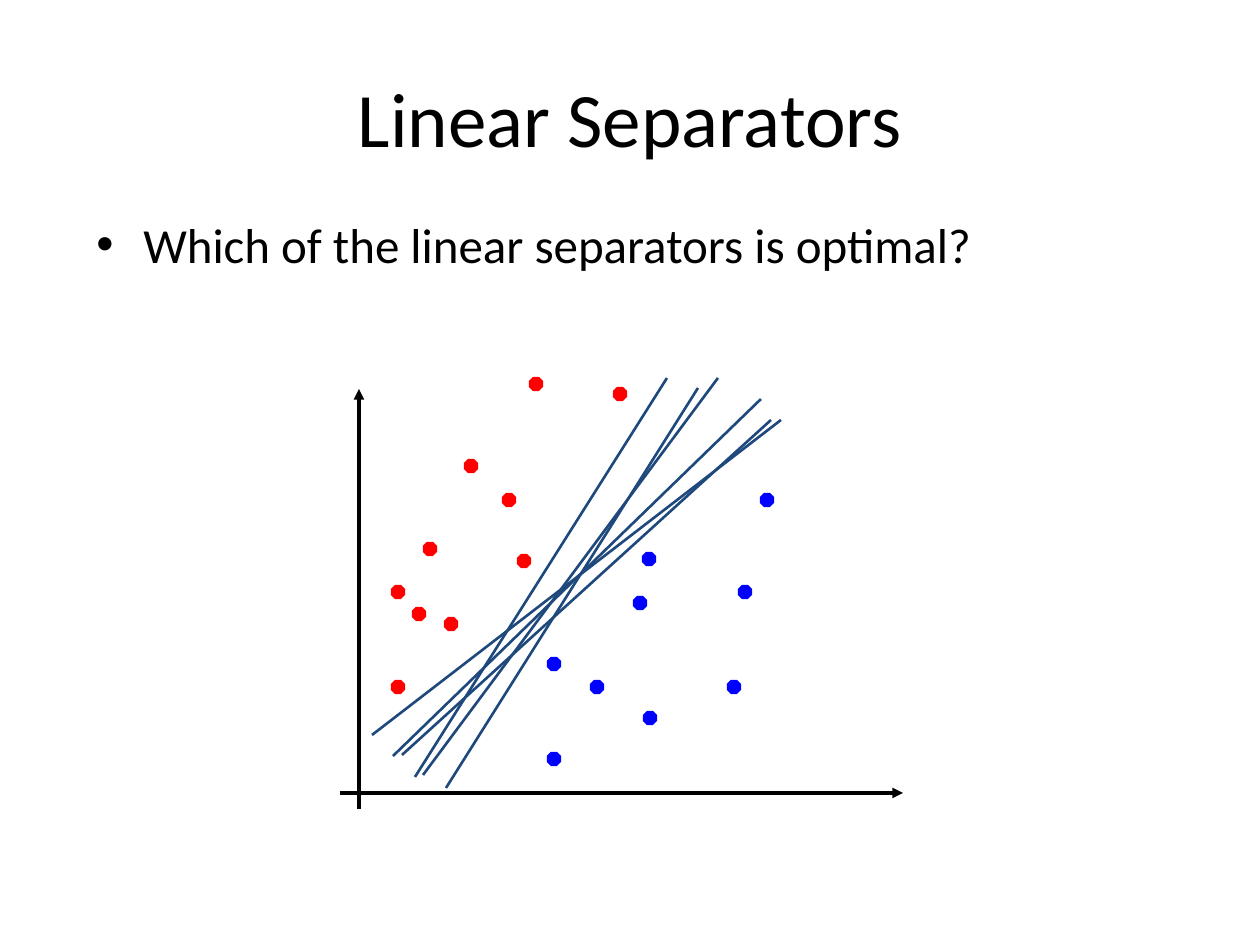
from dataclasses import dataclass

from lxml.etree import SubElement
from pptx import Presentation
from pptx.dml.color import RGBColor as RGB
from pptx.enum.shapes import MSO_CONNECTOR as Connector, MSO_SHAPE as Shape
from pptx.enum.text import MSO_ANCHOR as Anchor, PP_ALIGN as Align
from pptx.oxml.ns import qn
from pptx.util import Emu, Pt


@dataclass(frozen=True)
class Theme:
    font: str = "Calibri"
    ink: RGB = RGB(0, 0, 0)
    red: RGB = RGB(255, 0, 0)
    blue: RGB = RGB(0, 0, 255)
    separator: RGB = RGB(0x1F, 0x49, 0x7D)
    title_size: int = 44
    body_size: int = 28
    axis_width: float = 2
    separator_width: float = 1.5
    dot_outline: float = 0.75


THEME = Theme()
PX_PER_INCH = 126
DOT_SIZE = 13
BULLET_INDENT = 47

AXES = [((359, 809), (359, 389)), ((340, 793), (903, 793))]
SEPARATORS = [
    ((402, 755), (771, 420)),
    ((423, 775), (718, 378)),
    ((372, 735), (781, 420)),
    ((446, 788), (698, 388)),
    ((415, 777), (667, 378)),
    ((393, 756), (761, 399)),
]
RED_CLASS = [
    (509, 500), (430, 549), (451, 624), (398, 687), (471, 466),
    (398, 592), (419, 614), (524, 561), (536, 384), (620, 394),
]
BLUE_CLASS = [
    (649, 559), (597, 687), (734, 687), (554, 759), (640, 603),
    (554, 664), (650, 718), (745, 592), (767, 500),
]


def px(length):
    return Emu(round(length * 914400 / PX_PER_INCH))


def write_text(holder, text, *, size, align=Align.LEFT, anchor=Anchor.TOP, bullet=None):
    frame = holder.text_frame
    frame.word_wrap = True
    frame.vertical_anchor = anchor
    paragraph = frame.paragraphs[0]
    paragraph.alignment = align
    run = paragraph.add_run()
    run.text = text
    run.font.name = THEME.font
    run.font.size = Pt(size)
    run.font.color.rgb = THEME.ink
    if bullet:
        paragraph.space_before = Pt(size * 0.2)
        properties = paragraph._p.get_or_add_pPr()
        properties.set("marL", str(px(BULLET_INDENT)))
        properties.set("indent", str(-px(BULLET_INDENT)))
        SubElement(properties, qn("a:buFont"), typeface="Arial")
        SubElement(properties, qn("a:buChar"), char=bullet)


def add_title(slide, text):
    title = slide.shapes.title
    title.left, title.top, title.width, title.height = map(px, (63, 38, 1134, 158))
    write_text(title, text, size=THEME.title_size, align=Align.CENTER, anchor=Anchor.MIDDLE)


def add_question(slide, text):
    question = slide.shapes.add_textbox(*map(px, (84, 208, 1134, 693)))
    write_text(question, text, size=THEME.body_size, bullet="•")


def add_line(slide, start, end, color, width, arrow=False):
    line = slide.shapes.add_connector(Connector.STRAIGHT, *map(px, start + end))
    line.line.color.rgb = color
    line.line.width = Pt(width)
    if arrow:
        SubElement(line.line._get_or_add_ln(), qn("a:tailEnd"), type="triangle")
    SubElement(line._element.spPr, qn("a:effectLst"))


def add_dot(slide, center, color):
    left, top = (px(middle - DOT_SIZE / 2) for middle in center)
    dot = slide.shapes.add_shape(Shape.OCTAGON, left, top, px(DOT_SIZE), px(DOT_SIZE))
    dot.shadow.inherit = False
    dot.fill.solid()
    dot.fill.fore_color.rgb = color
    dot.line.color.rgb = color
    dot.line.width = Pt(THEME.dot_outline)


def main():
    deck = Presentation()
    deck.slide_width, deck.slide_height = px(1260), px(945)
    slide = deck.slides.add_slide(deck.slide_layouts[5])

    add_title(slide, "Linear Separators")
    add_question(slide, "Which of the linear separators is optimal?")
    for start, end in AXES:
        add_line(slide, start, end, THEME.ink, THEME.axis_width, arrow=True)
    for centers, color in ((RED_CLASS, THEME.red), (BLUE_CLASS, THEME.blue)):
        for center in centers:
            add_dot(slide, center, color)
    for start, end in SEPARATORS:
        add_line(slide, start, end, THEME.separator, THEME.separator_width)

    deck.save("out.pptx")


if __name__ == "__main__":
    main()
